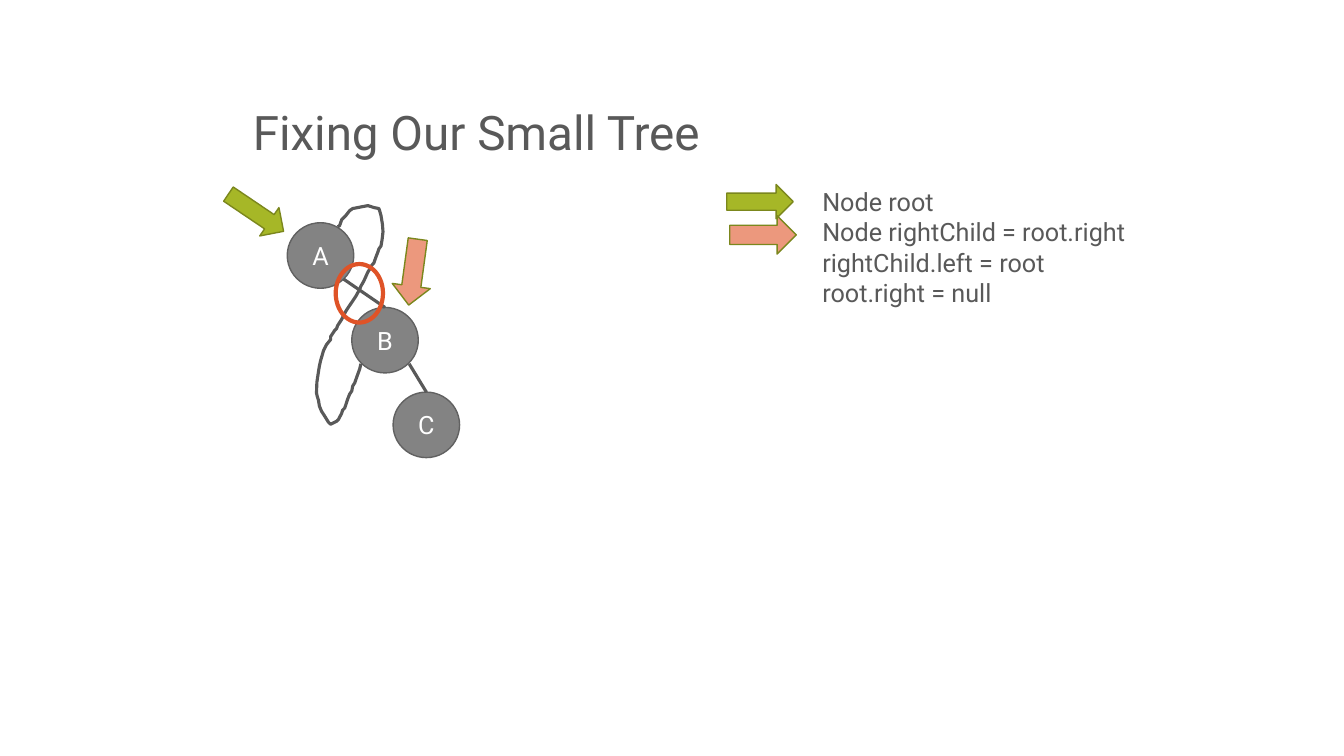
"""Build the slide that fixes a small tree with node references."""
from dataclasses import dataclass

import pptx
import pptx.dml.color
import pptx.enum.shapes
import pptx.enum.text
import pptx.oxml.ns
import pptx.util
from lxml import etree

Pt = pptx.util.Pt
Shape = pptx.enum.shapes.MSO_SHAPE
Anchor = pptx.enum.text.MSO_ANCHOR
Align = pptx.enum.text.PP_ALIGN

FONT = "Roboto"
COLORS = {
    "ink": "595959",
    "node": "838383",
    "node_edge": "616161",
    "label": "FFFFFF",
    "root": "A6B727",
    "child": "EC987D",
    "arrow_edge": "7B871D",
    "highlight": "DF5327",
}
NODE_WIDTH, NODE_HEIGHT = 47.5, 46.8
ARROW_WIDTH = 47.5


@dataclass(frozen=True)
class Node:
    label: str
    left: float
    top: float


@dataclass(frozen=True)
class Edge:
    x1: float
    y1: float
    x2: float
    y2: float


@dataclass(frozen=True)
class Pointer:
    left: float
    top: float
    height: float
    color: str
    rotation: float = 0


@dataclass(frozen=True)
class Caption:
    left: float
    top: float
    width: float
    height: float
    size: float
    lines: tuple[str, ...]
    anchor: Anchor = Anchor.TOP
    spacing: float = 1.0


TREE = (
    Node("A", 205.2, 159.1),
    Node("B", 251.3, 219.6),
    Edge(245.5, 199.4, 275, 219.6),
    Node("C", 280.8, 280.1),
    Edge(292.3, 259.9, 304.6, 280.1),
)
TITLE = Caption(173.5, 23.8, 738, 94.3, 34, ("Fixing Our Small Tree",), Anchor.BOTTOM, 0.9)
CODE = Caption(580.3, 129.6, 292.3, 116.6, 18, (
    "Node root",
    "Node rightChild = root.right",
    "rightChild.left = root",
    "root.right = null",
))
ROOT_POINTER = Pointer(159.1, 139.7, 24.5, "root", 34)
OTHER_POINTERS = (
    Pointer(271.4, 180.7, 27.4, "child", 97.8),
    Pointer(519.1, 131.8, 24.5, "root"),
    Pointer(521.3, 154.1, 27.4, "child"),
)
LEFT_LINK = (
    (257.8, 259.9), (257, 263.5), (254.9, 269.3), (253.4, 273.6), (252, 275.8),
    (251.3, 279.4), (249.8, 281.5), (248.4, 285.1), (247, 289.4), (246.2, 291.6),
    (244.8, 293), (244.1, 295.2), (241.9, 299.5), (240.5, 301), (236.2, 303.1),
    (234.7, 301.7), (231.1, 295.9), (229.7, 293.8), (228.2, 290.2), (227.5, 285.8),
    (226.8, 283.7), (226.1, 280.8), (226.4, 273), (227.5, 265.7), (228.2, 261.4),
    (229, 257.8), (231.1, 250.6), (233.3, 246.2), (236.2, 242.6), (236.2, 240.5),
    (239, 236.2), (240.5, 234.7), (241.2, 232.6), (244.1, 228.2), (244.8, 226.8),
    (247, 222.5), (248.4, 220.3), (251.3, 216), (254.2, 211.7), (257, 206.6),
    (257.8, 204.5), (259.9, 200.9), (262.8, 194.4), (264.2, 192.2), (265.7, 189.4),
    (267.1, 187.9), (267.8, 185.8), (268.6, 183.6), (270, 180), (270.7, 177.8),
    (272.2, 175.7), (273, 171), (273.6, 165.6), (273.2, 160), (272.2, 154.1),
    (271.4, 151.2), (270.7, 149), (267.1, 148.3), (265, 147.6), (262.8, 146.9),
    (252, 149), (249.8, 150.5), (247, 154.1), (244.1, 157), (242.6, 161.3),
    (241.2, 162),
)


def rgb(name: str) -> pptx.dml.color.RGBColor:
    return pptx.dml.color.RGBColor.from_string(COLORS[name])


def style_line(line, color: str, width: float) -> None:
    line.color.rgb = rgb(color)
    line.width = Pt(width)


def style_shape(shape, fill: str | None, edge: str, width: float) -> None:
    shape.shadow.inherit = False
    if fill is None:
        shape.fill.background()
    else:
        shape.fill.solid()
        shape.fill.fore_color.rgb = rgb(fill)
    style_line(shape.line, edge, width)


def style_font(font, size: float, color: str) -> None:
    font.name = FONT
    font.size = Pt(size)
    font.color.rgb = rgb(color)


def draw_node(shapes, node: Node) -> None:
    circle = shapes.add_shape(
        Shape.OVAL, Pt(node.left), Pt(node.top), Pt(NODE_WIDTH), Pt(NODE_HEIGHT))
    style_shape(circle, "node", "node_edge", 1)
    circle.text_frame.vertical_anchor = Anchor.MIDDLE
    label = circle.text_frame.paragraphs[0]
    label.text = node.label
    label.alignment = Align.CENTER
    style_font(label.font, 18, "label")


def draw_edge(shapes, edge: Edge) -> None:
    link = shapes.add_connector(
        pptx.enum.shapes.MSO_CONNECTOR.STRAIGHT,
        Pt(edge.x1), Pt(edge.y1), Pt(edge.x2), Pt(edge.y2))
    style_line(link.line, "ink", 2.25)
    etree.SubElement(link._element.spPr, pptx.oxml.ns.qn("a:effectLst"))


def draw_pointer(shapes, pointer: Pointer) -> None:
    arrow = shapes.add_shape(
        Shape.RIGHT_ARROW, Pt(pointer.left), Pt(pointer.top),
        Pt(ARROW_WIDTH), Pt(pointer.height))
    style_shape(arrow, pointer.color, "arrow_edge", 1)
    arrow.rotation = pointer.rotation


def draw_caption(shapes, caption: Caption) -> None:
    frame = shapes.add_textbox(
        Pt(caption.left), Pt(caption.top), Pt(caption.width), Pt(caption.height)).text_frame
    frame.word_wrap = True
    frame.vertical_anchor = caption.anchor
    frame.text = "\n".join(caption.lines)
    for paragraph in frame.paragraphs:
        paragraph.line_spacing = caption.spacing
        style_font(paragraph.font, caption.size, "ink")


def draw_left_link(shapes) -> None:
    start, *rest = [(Pt(x), Pt(y)) for x, y in LEFT_LINK]
    builder = shapes.build_freeform(*start)
    builder.add_line_segments(rest, close=False)
    style_shape(builder.convert_to_shape(), None, "ink", 2.25)


def main() -> None:
    deck = pptx.Presentation()
    deck.slide_width, deck.slide_height = Pt(960), Pt(540)
    shapes = deck.slides.add_slide(deck.slide_layouts[6]).shapes
    draw_caption(shapes, TITLE)
    for part in TREE:
        if isinstance(part, Node):
            draw_node(shapes, part)
        else:
            draw_edge(shapes, part)
    draw_pointer(shapes, ROOT_POINTER)
    draw_caption(shapes, CODE)
    for pointer in OTHER_POINTERS:
        draw_pointer(shapes, pointer)
    draw_left_link(shapes)
    removed_link = shapes.add_shape(Shape.OVAL, Pt(239.8), Pt(188.6), Pt(33.8), Pt(41.8))
    style_shape(removed_link, None, "highlight", 3)
    deck.save("out.pptx")


main()
